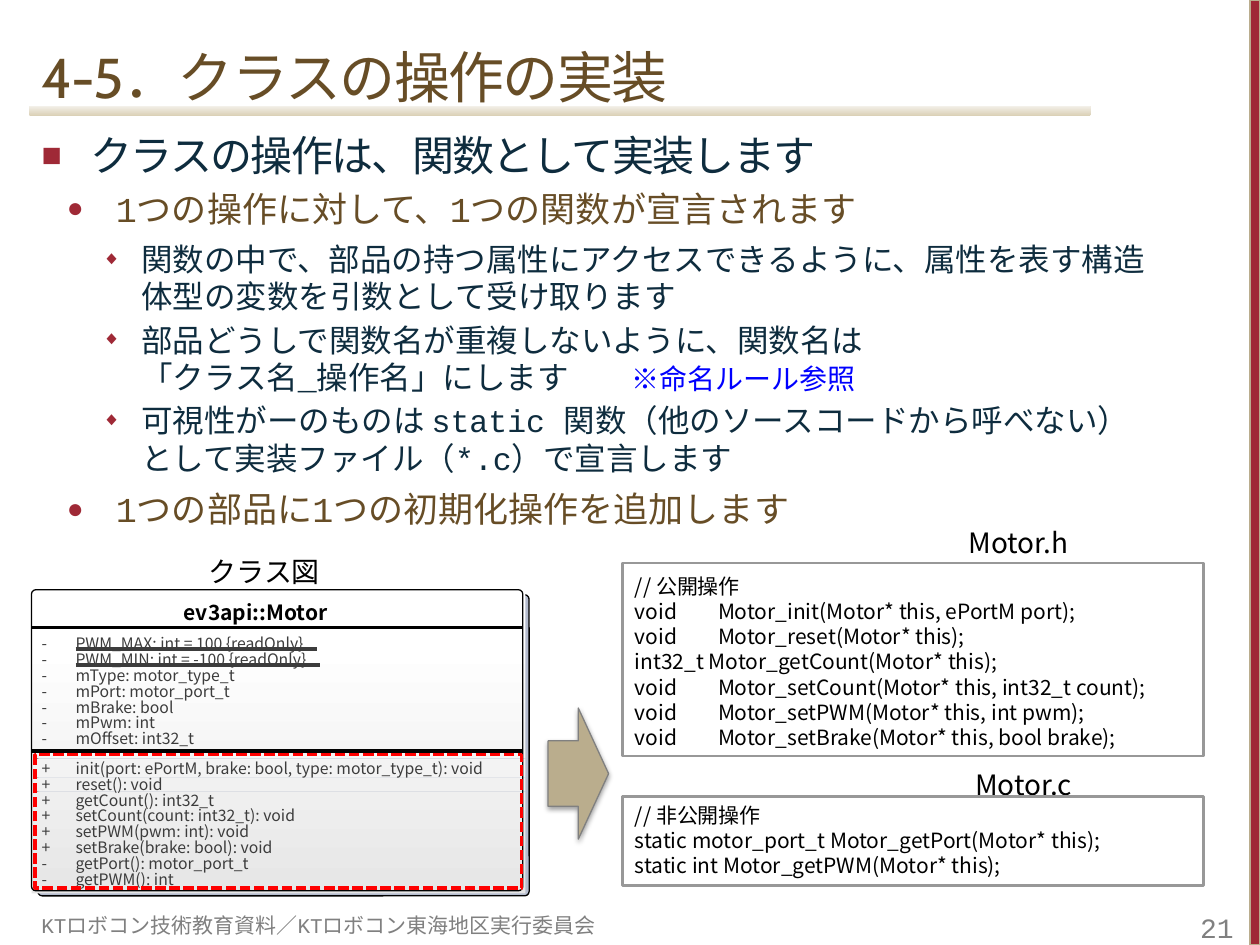
from dataclasses import dataclass
from itertools import pairwise
from typing import NamedTuple

from lxml import etree
from pptx import Presentation
from pptx import util as u
from pptx.dml.color import RGBColor
from pptx.enum import dml, shapes, text
from pptx.oxml import parse_xml
from pptx.oxml.ns import nsdecls, qn


@dataclass(frozen=True)
class Theme:
    mono: str = "Courier New"
    head: str = "Cabin"
    sans: str = "Noto Sans CJK JP"
    red: str = "9F2936"
    brown: str = "674D26"
    navy: str = "0E2C3E"
    blue: str = "0000FF"
    tan: str = "BAAD8D"
    grey: str = "808080"
    edge: str = "989898"
    ink: str = "3C3C3C"
    black: str = "000000"
    title: int = 32
    label: int = 16
    code: int = 12
    row: int = 9


class Level(NamedTuple):
    mark: str
    scale: int
    left: float
    hang: float
    size: int
    color: str


class Point(NamedTuple):
    level: int
    words: str
    before: int = 0
    after: int = 0
    note: str = ""


class Member(NamedTuple):
    sign: str
    words: str
    width: float
    line: float = 0  # underline length of a constant


T = Theme()
SHAPE = shapes.MSO_SHAPE
TOP, LOW = text.MSO_ANCHOR.TOP, text.MSO_ANCHOR.BOTTOM
LEFT, RIGHT = text.PP_ALIGN.LEFT, text.PP_ALIGN.RIGHT

LEVELS = (
    Level("■", 80, 0.39, 0.39, 24, T.navy),
    Level("●", 80, 0.59, 0.39, 20, T.brown),
    Level("◆", 60, 0.79, 0.31, 18, T.navy),
)
POINTS = (
    Point(0, "クラスの操作は、関数として実装します", 4, 4),
    Point(1, "1つの操作に対して、1つの関数が宣言されます", 0, 3),
    Point(2, "関数の中で、部品の持つ属性にアクセスできるように、属性を表す構造体型の変数を引数として受け取ります", 3),
    Point(2, "部品どうしで関数名が重複しないように、関数名は\n「クラス名_操作名」にします　　", 3, 0, "※命名ルール参照"),
    Point(2, "可視性がーのものは static 関数（他のソースコードから呼べない）　として実装ファイル（*.c）で宣言します", 3, 6),
    Point(1, "1つの部品に1つの初期化操作を追加します"),
)
FIELDS = (
    Member("-", "PWM_MAX: int = 100 {readOnly}", 2.03, 1.92),
    Member("-", "PWM_MIN: int = -100 {readOnly}", 2.06, 1.94),
    Member("-", "mType: motor_type_t", 1.33),
    Member("-", "mPort: motor_port_t", 1.26),
    Member("-", "mBrake: bool", 0.81),
    Member("-", "mPwm: int", 0.66),
    Member("-", "mOffset: int32_t", 0.99),
)
METHODS = (
    Member("+", "init(port: ePortM, brake: bool, type: motor_type_t): void", 3.42),
    Member("+", "reset(): void", 0.75),
    Member("+", "getCount(): int32_t", 1.18),
    Member("+", "setCount(count: int32_t): void", 1.84),
    Member("+", "setPWM(pwm: int): void", 1.47),
    Member("+", "setBrake(brake: bool): void", 1.66),
    Member("-", "getPort(): motor_port_t", 1.45),
    Member("-", "getPWM(): int", 0.85),
)
HEADER = """// 公開操作
void\tMotor_init(Motor* this, ePortM port);
void\tMotor_reset(Motor* this);
int32_t Motor_getCount(Motor* this);
void\tMotor_setCount(Motor* this, int32_t count);
void\tMotor_setPWM(Motor* this, int pwm);
void\tMotor_setBrake(Motor* this, bool brake);"""
SOURCE = """// 非公開操作
static motor_port_t Motor_getPort(Motor* this);
static int Motor_getPWM(Motor* this);"""


def rgb(color: str) -> RGBColor:
    return RGBColor.from_string(color)


def place(shape, *box: float) -> None:
    shape.left, shape.top, shape.width, shape.height = map(u.Inches, box)


def write(para, words: str, *, size: float, color: str, font: str = T.mono,
          bold: bool = False, gap: int = 0, align=LEFT) -> None:
    """Add text to a paragraph; a newline is a line break."""
    para.alignment = align
    for i, part in enumerate(words.split("\n")):
        if i:
            para.add_line_break()
        run = para.add_run()
        run.text = part
        run.font.name, run.font.size, run.font.bold = font, u.Pt(size), bold
        run.font.color.rgb = rgb(color)
        if gap:
            run.font._element.set("spc", str(gap * 100))


def setup(frame, wrap: bool = True, grow: bool = True, anchor=TOP, pad=None) -> None:
    frame.word_wrap, frame.vertical_anchor = wrap, anchor
    kind = text.MSO_AUTO_SIZE
    frame.auto_size = kind.SHAPE_TO_FIT_TEXT if grow else kind.NONE
    if pad is not None:
        (frame.margin_left, frame.margin_top,
         frame.margin_right, frame.margin_bottom) = map(u.Inches, pad)


def label(on, box: tuple, words: str, *, wrap=False, grow=True, anchor=TOP, pad=None, **style) -> None:
    frame = on.add_textbox(*map(u.Inches, box)).text_frame
    setup(frame, wrap, grow, anchor, pad)
    write(frame.paragraphs[0], words, **style)


def block(on, kind, box: tuple, fill: str = "", line: str = "", width: float = 0):
    shape = on.add_shape(kind, *map(u.Inches, box))
    shape.shadow.inherit = False
    if fill:
        shape.fill.solid()
        shape.fill.fore_color.rgb = rgb(fill)
    else:
        shape.fill.background()
    if line:
        shape.line.color.rgb, shape.line.width = rgb(line), u.Pt(width)
    else:
        shape.line.fill.background()
    return shape


def rule(on, left: float, top: float, length: float, color: str) -> None:
    line = on.add_connector(shapes.MSO_CONNECTOR.STRAIGHT,
                            *map(u.Inches, (left, top, left + length, top)))
    line.line.color.rgb, line.line.width = rgb(color), u.Pt(0)
    etree.SubElement(line._element.spPr, qn("a:effectLst"))


def bullet(para, point: Point) -> None:
    level = LEVELS[point.level]
    para.level = point.level
    para.space_before, para.space_after = u.Pt(point.before), u.Pt(point.after)
    props = para._p.get_or_add_pPr()
    props.set("marL", str(u.Inches(level.left)))
    props.set("indent", str(-u.Inches(level.hang)))
    for xml in (f'<a:buClr {nsdecls("a")}><a:srgbClr val="{T.red}"/></a:buClr>',
                f'<a:buSzPct {nsdecls("a")} val="{level.scale * 1000}"/>',
                f'<a:buChar {nsdecls("a")} char="{level.mark}"/>'):
        props.append(parse_xml(xml))
    write(para, point.words, size=level.size, color=level.color, gap=0 if point.level else -1)
    if point.note:
        write(para, point.note, size=T.label, color=T.blue)


def listing(on, box: tuple, code: str, **frame_style) -> None:
    frame = block(on, SHAPE.RECTANGLE, box, line=T.edge, width=1.5).text_frame
    setup(frame, **frame_style)
    for i, words in enumerate(code.split("\n")):
        para = frame.add_paragraph() if i else frame.paragraphs[0]
        write(para, words, size=T.code, color=T.black, font=T.sans)
        if "\t" in words:
            para._p.get_or_add_pPr().append(parse_xml(
                f'<a:tabLst {nsdecls("a")}><a:tab pos="{u.Inches(0.66)}" algn="l"/></a:tabLst>'))


def members(on, top: float, rows: tuple) -> None:
    style = dict(pad=(0, 0, 0, 0), size=T.row, color=T.ink, font=T.sans)
    for i, row in enumerate(rows):
        y = top + i * 0.126
        label(on, (0.33, y, 0.1 if row.sign == "-" else 0.14, 0.15), row.sign, **style)
        label(on, (0.6, y, row.width, 0.15), row.words, **style)
        if row.line:
            rule(on, 0.6, y + 0.12, row.line, T.ink)


def card(on) -> None:
    """Class box: shadow, shaded strips, frame, name and members."""
    left, top, wide, high = 0.25, 4.68, 3.9, 2.39
    back = block(on, SHAPE.ROUNDED_RECTANGLE, (left + 0.05, top + 0.04, wide, high), "B5BCCE", T.black)
    edges = (4.69, 5.27, 5.42, 5.58, 5.73, 5.88, 6.02, 6.17, 6.28, 6.43, 6.58, 6.73, 6.89, 7.04, 7.09)
    for i, (y, end) in enumerate(pairwise(edges)):
        block(on, SHAPE.RECTANGLE, (left, y, 3.92, end - y), f"{255 - 2 * i:02X}" * 3)
    front = block(on, SHAPE.ROUNDED_RECTANGLE, (left, top, wide, high), line=T.black)
    for shape in (back, front):
        shape.adjustments[0] = 0.015
    label(on, (1.46, 4.76, 1.54, 0.2), "ev3api::Motor", wrap=True, pad=(0, 0, 0, 0),
          size=T.code, color=T.black, font=T.sans, bold=True)
    for y in (4.98, 5.96):
        rule(on, left, y, wide, T.black)
    members(on, 5.03, FIELDS)
    members(on, 6.02, METHODS)


def main() -> None:
    deck = Presentation()
    deck.slide_width, deck.slide_height = u.Inches(10), u.Inches(7.5)
    slide = deck.slides.add_slide(deck.slide_layouts[1])
    on = slide.shapes

    # Title and list
    title, body = on.title, slide.placeholders[1]
    place(title, 0.23, 0.2, 8.4, 0.72)
    setup(title.text_frame, grow=False, anchor=LOW)
    write(title.text_frame.paragraphs[0], "4-5．クラスの操作の実装",
          size=T.title, color=T.brown, font=T.head, gap=-1)
    place(body, 0.23, 0.98, 9.11, 5.88)
    setup(body.text_frame, grow=False)
    for i, point in enumerate(POINTS):
        bullet(body.text_frame.add_paragraph() if i else body.text_frame.paragraphs[0], point)

    # Title band, side bar and footer
    band = block(on, SHAPE.ROUNDED_RECTANGLE, (0.23, 0.84, 8.43, 0.08))
    band.fill.gradient()
    band.fill.gradient_angle = 90
    for stop, color in zip(band.fill.gradient_stops, ("DBD1B7", "F3F0E9")):
        stop.color.rgb = rgb(color)
    block(on, SHAPE.RECTANGLE, (9.92, 0, 0.08, 7.5), T.red, T.tan, 0.75)
    foot = dict(wrap=True, grow=False, anchor=LOW, color=T.grey)
    label(on, (9.3, 7.12, 0.59, 0.37), "21", pad=(0.1, 0.05, 0.1, 0), size=T.label, align=RIGHT, **foot)
    label(on, (0.23, 7.09, 4.77, 0.4), "KTロボコン技術教育資料／KTロボコン東海地区実行委員会", size=T.code, **foot)

    # Captions, arrow and code boxes
    for box, words, font in (((7.59, 4.12, 1.02, 0.37), "Motor.h", T.sans),
                             ((1.56, 4.35, 1.1, 0.37), "クラス図", T.mono),
                             ((7.64, 6.04, 0.99, 0.37), "Motor.c", T.sans)):
        label(on, box, words, size=T.label, color=T.black, font=font)
    arrow = block(on, SHAPE.RIGHT_ARROW, (4.35, 5.62, 0.48, 1.04), T.tan, T.grey, 0.75)
    arrow._element.spPr.find(qn("a:effectLst")).append(parse_xml(
        f'<a:outerShdw {nsdecls("a")} blurRad="{u.Pt(3.1)}" dist="{u.Pt(1.6)}" dir="5400000" rotWithShape="0">'
        f'<a:srgbClr val="{T.black}"><a:alpha val="38000"/></a:srgbClr></a:outerShdw>'))
    listing(on, (4.94, 4.47, 4.61, 1.53), HEADER, wrap=False, pad=(0.1, 0.08, 0.1, 0.04))
    listing(on, (4.94, 6.32, 4.61, 0.71), SOURCE)

    # Class diagram with its methods marked
    card(on.add_group_shape().shapes)
    mark = block(on, SHAPE.RECTANGLE, (0.28, 5.99, 3.86, 1.06), line="FF0000", width=2)
    mark.line.dash_style = dml.MSO_LINE.SQUARE_DOT
    deck.save("out.pptx")


if __name__ == "__main__":
    main()
